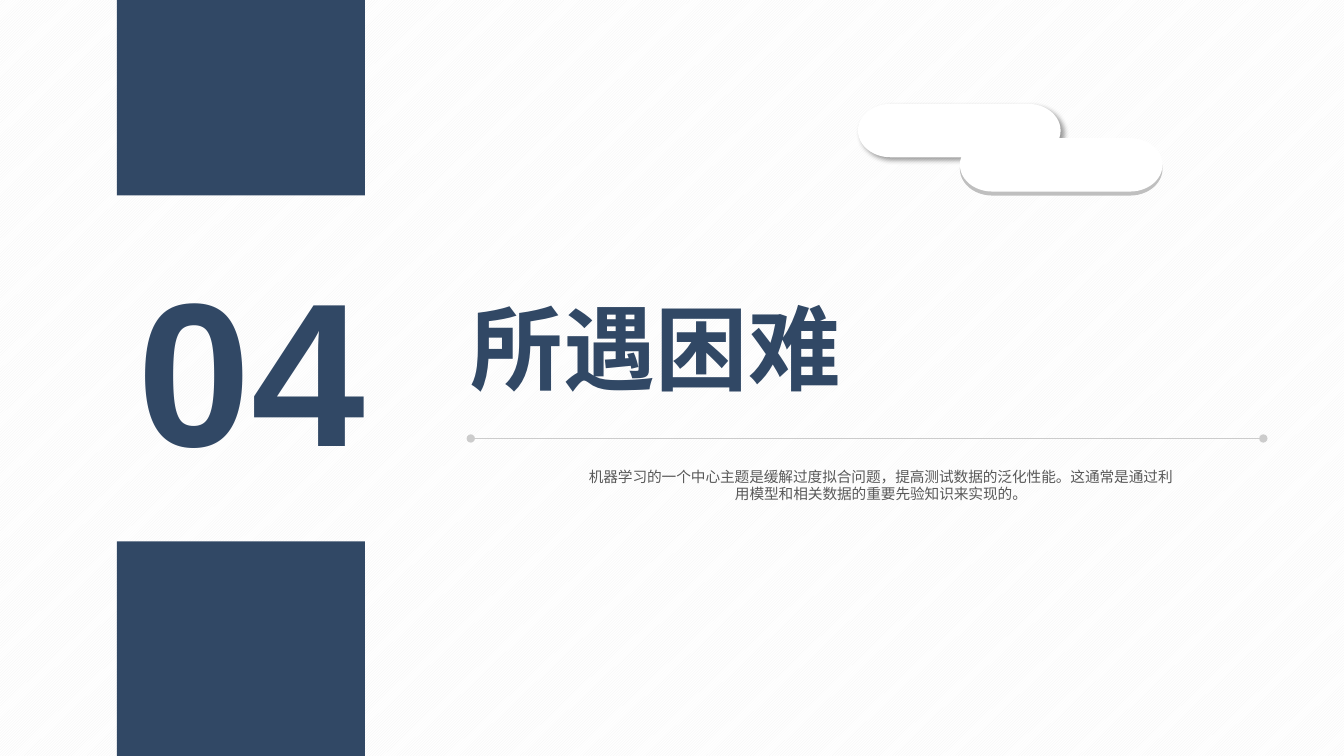
from lxml import etree
from pptx import Presentation
from pptx.dml.color import RGBColor
from pptx.enum.dml import MSO_PATTERN
from pptx.enum.shapes import MSO_CONNECTOR, MSO_SHAPE
from pptx.enum.text import MSO_ANCHOR, MSO_AUTO_SIZE, PP_ALIGN
from pptx.oxml.ns import qn
from pptx.util import Inches, Pt

COLORS = {
    "navy": "314865",
    "body": "595959",
    "rule": "CCCCCC",
    "edge": "BFBFBF",
    "stripe": "F2F2F2",
    "white": "FFFFFF",
    "black": "000000",
}


def rgb(name):
    return RGBColor.from_string(COLORS[name])


class SectionSlide:
    """Style and current slide; all lengths are percentages of the slide size."""

    font_name = "Arial"

    def __init__(self, deck):
        self.width, self.height = deck.slide_width, deck.slide_height
        self.slide = deck.slides.add_slide(deck.slide_layouts[6])

    def place(self, left, top, width, height):
        return (round(self.width * left / 100), round(self.height * top / 100),
                round(self.width * width / 100), round(self.height * height / 100))

    def background(self, fore, back):
        fill = self.slide.background.fill
        fill.patterned()
        fill.pattern = MSO_PATTERN.DARK_UPWARD_DIAGONAL
        fill.fore_color.rgb = rgb(fore)
        fill.back_color.rgb = rgb(back)

    def block(self, preset, area, color):
        block = self.slide.shapes.add_shape(preset, *self.place(*area))
        block.shadow.inherit = False
        block.fill.solid()
        block.fill.fore_color.rgb = rgb(color)
        block.line.fill.background()
        return block

    def cast_shadow(self, block, color, opacity, blur, distance, angle):
        effects = block._element.spPr.find(qn("a:effectLst"))
        shadow = etree.SubElement(
            effects, qn("a:outerShdw"), blurRad=str(Pt(blur)),
            dist=str(Pt(distance)), dir=str(angle * 60000),
            algn="tl", rotWithShape="0")
        tint = etree.SubElement(shadow, qn("a:srgbClr"), val=COLORS[color])
        etree.SubElement(tint, qn("a:alpha"), val=str(opacity * 1000))

    def rule(self, left, right, y, color, weight):
        x1, y1, x2, y2 = self.place(left, y, right, y)
        rule = self.slide.shapes.add_connector(MSO_CONNECTOR.STRAIGHT, x1, y1, x2, y2)
        rule.line.color.rgb = rgb(color)
        rule.line.width = Pt(weight)
        outline = rule.line._get_or_add_ln()
        for end in ("a:headEnd", "a:tailEnd"):
            etree.SubElement(outline, qn(end), type="oval")
        etree.SubElement(rule._element.spPr, qn("a:effectLst"))

    def text(self, wording, area, size, color, align, bold=False):
        frame = self.slide.shapes.add_textbox(*self.place(*area)).text_frame
        frame_format = {
            "word_wrap": True, "auto_size": MSO_AUTO_SIZE.SHAPE_TO_FIT_TEXT,
            "vertical_anchor": MSO_ANCHOR.TOP,
            "margin_left": 0, "margin_top": 0, "margin_right": 0, "margin_bottom": 0,
        }
        for name, value in frame_format.items():
            setattr(frame, name, value)
        paragraph = frame.paragraphs[0]
        paragraph.alignment = align
        run = paragraph.add_run()
        run.text = wording
        font_format = {"name": self.font_name, "size": Pt(size), "bold": bold}
        for name, value in font_format.items():
            setattr(run.font, name, value)
        run.font.color.rgb = rgb(color)
        etree.SubElement(run.font._element, qn("a:ea"), typeface=self.font_name)


def main():
    deck = Presentation()
    deck.slide_width, deck.slide_height = Inches(13.33), Inches(7.5)
    section = SectionSlide(deck)
    section.background("stripe", "white")

    # Section number between two navy blocks
    band_left, band_width = 8.7, 18.45
    section.text("04", (band_left, 32, band_width, 32.8), 146, "navy",
                 PP_ALIGN.RIGHT, bold=True)
    for top, bottom in ((0, 25.87), (71.6, 100)):
        section.block(MSO_SHAPE.RECTANGLE,
                      (band_left, top, band_width, bottom - top), "navy")

    # Heading, rule and summary
    heading_left, heading_right = 35.03, 94
    section.text("所遇困难", (heading_left, 38.53, heading_right - heading_left, 14.8),
                 66, "navy", PP_ALIGN.JUSTIFY, bold=True)
    section.rule(heading_left, heading_right, 58, "rule", 1)
    section.text("机器学习的一个中心主题是缓解过度拟合问题，提高测试数据的泛化性能。"
                 "这通常是通过利用模型和相关数据的重要先验知识来实现的。",
                 (43.36, 61.87, 44.41, 4.67), 10.5, "body", PP_ALIGN.CENTER)

    # Cloud of overlapping pills
    pill_size = (15.08, 7.07)
    for left, top, color, floating in ((71.42, 18.8, "edge", False),
                                       (63.84, 13.73, "white", True),
                                       (71.42, 18.27, "white", False)):
        pill = section.block(MSO_SHAPE.FLOWCHART_TERMINATOR,
                             (left, top, *pill_size), color)
        if floating:
            section.cast_shadow(pill, "black", opacity=40, blur=4, distance=3, angle=45)

    deck.save("out.pptx")


if __name__ == "__main__":
    main()
